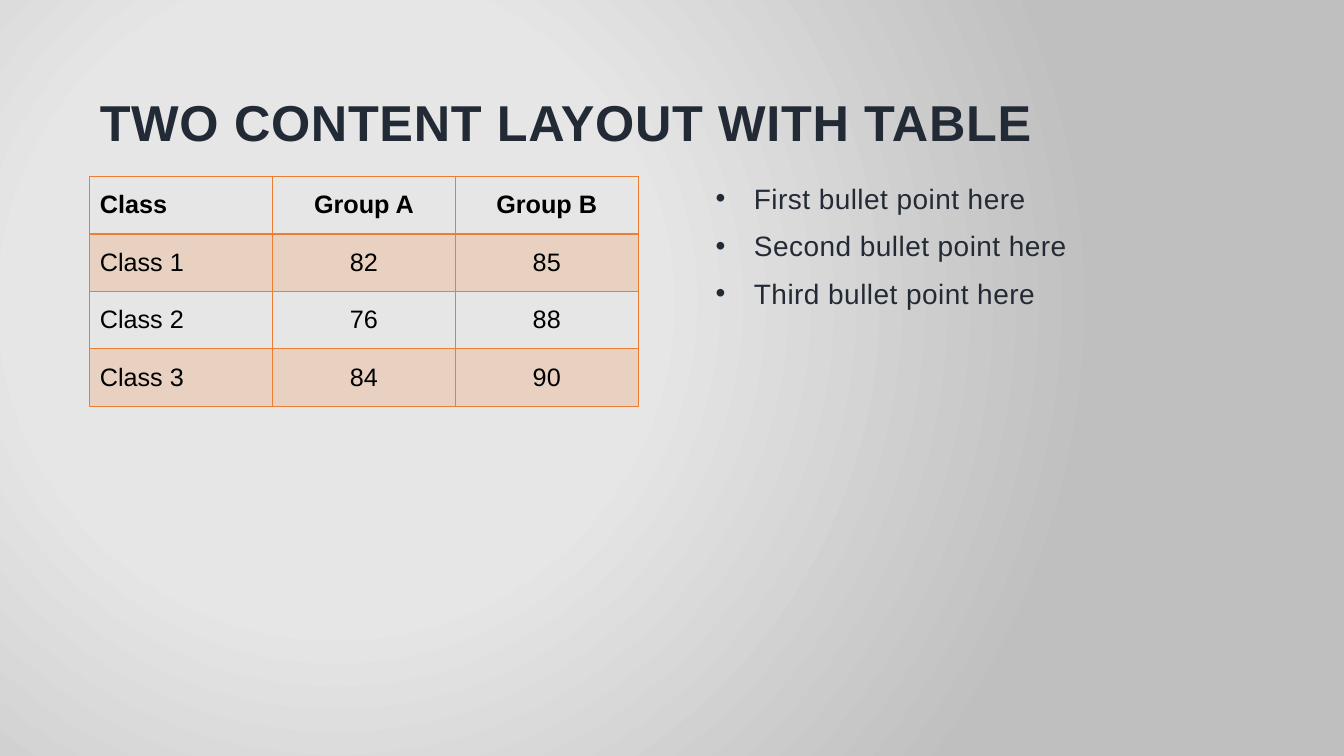
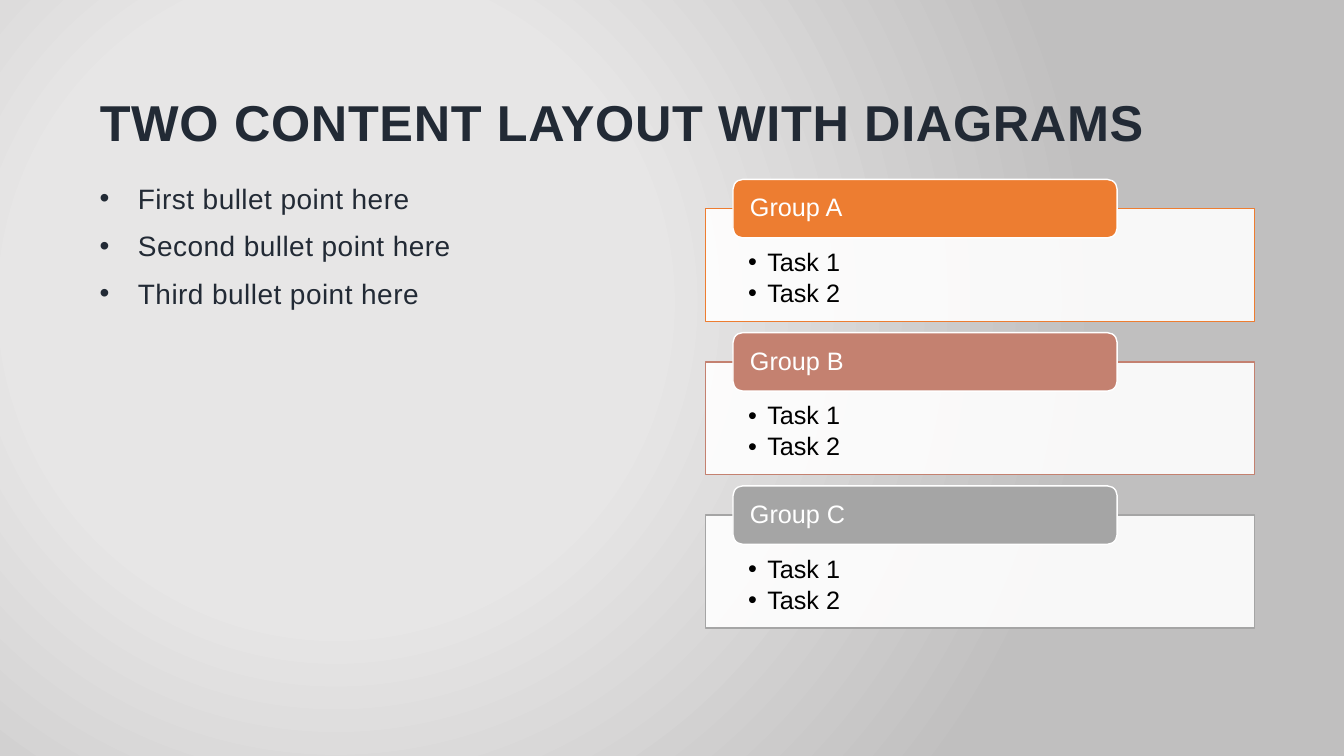
from lxml import etree
from pptx import Presentation
from pptx.dml.color import RGBColor
from pptx.enum.shapes import MSO_SHAPE as Shape
from pptx.enum.text import MSO_ANCHOR as Anchor, MSO_AUTO_SIZE as AutoSize, PP_ALIGN as Align
from pptx.oxml import parse_xml
from pptx.oxml.ns import nsdecls, qn
from pptx.util import Pt

SCALE = 9144
FONT = "Arial"
INK, BLACK, WHITE, ORANGE = "222A35", "000000", "FFFFFF", "ED7D31"
BACKDROP = [(0, "E8E7E7"), (41, "E7E6E6"), (100, "C0BFBF")]
BACKDROP_FOCUS = {"l": 50, "t": 80, "r": 100, "b": 100}

TABLE_TITLE = "TWO CONTENT LAYOUT WITH TABLE"
GROUPS_TITLE = "TWO CONTENT LAYOUT WITH DIAGRAMS"
POINTS = ["First bullet point here", "Second bullet point here", "Third bullet point here"]
SCORES = [
    ("Class", "Group A", "Group B"),
    ("Class 1", "82", "85"),
    ("Class 2", "76", "88"),
    ("Class 3", "84", "90"),
]
GROUPS = [("Group A", ORANGE), ("Group B", "C48170"), ("Group C", "A5A5A5")]
TASKS = ["Task 1", "Task 2"]

SLIDE_SIZE = (1333, 750)
TITLE_BOX = (89, 30, 1156, 125)
LEFT, RIGHT, TOP, COLUMN, BODY_HEIGHT = 89, 700, 175, 544, 450
ROW_HEIGHT = 57
PANEL_TOP, PANEL_HEIGHT, PANEL_PITCH = 207, 112, 152
LABEL_INDENT, LABEL_RISE, LABEL_WIDTH, LABEL_HEIGHT = 27, 29, 381, 58


def px(*lengths):
    return [round(length * SCALE) for length in lengths]


def rgb(value):
    return RGBColor.from_string(value)


def paint(fill, props, color, alpha=100):
    fill.solid()
    fill.fore_color.rgb = rgb(color)
    if alpha < 100:
        tone = props.find(qn("a:solidFill")).find(qn("a:srgbClr"))
        etree.SubElement(tone, qn("a:alpha")).set("val", str(alpha * 1000))


def write(frame, lines, size=18, color=BLACK, bold=False, align=Align.LEFT,
          anchor=Anchor.TOP, margins=(10, 5, 10, 5), tracking=0, indent=0,
          bullet_color=None, before=0, after=0, leading=1.0):
    frame.word_wrap = True
    frame.auto_size = AutoSize.NONE
    frame.vertical_anchor = anchor
    (frame.margin_left, frame.margin_top,
     frame.margin_right, frame.margin_bottom) = px(*margins)
    for i, line in enumerate(lines):
        paragraph = frame.add_paragraph() if i else frame.paragraphs[0]
        paragraph.alignment = align
        paragraph.space_before, paragraph.space_after = Pt(before), Pt(after)
        paragraph.line_spacing = leading
        if indent:
            add_bullet(paragraph, indent, bullet_color or color)
        run = paragraph.add_run()
        run.text = line
        run.font.name, run.font.size, run.font.bold = FONT, Pt(size), bold
        run.font.color.rgb = rgb(color)
        if tracking:
            run.font._element.set("spc", str(round(tracking * 100)))


def add_bullet(paragraph, indent, color):
    props = paragraph._p.get_or_add_pPr()
    hang = px(indent)[0]
    props.set("marL", str(hang))
    props.set("indent", str(-hang))
    tone = etree.SubElement(props, qn("a:buClr"))
    etree.SubElement(tone, qn("a:srgbClr")).set("val", color)
    etree.SubElement(props, qn("a:buFont")).set("typeface", FONT)
    etree.SubElement(props, qn("a:buChar")).set("char", "•")


def set_backdrop(master):
    master.background.fill.solid()
    flat = next(master.element.iter(qn("p:bgPr"))).find(qn("a:solidFill"))
    stops = "".join(f'<a:gs pos="{at * 1000}"><a:srgbClr val="{color}"/></a:gs>'
                    for at, color in BACKDROP)
    focus = " ".join(f'{side}="{share * 1000}"' for side, share in BACKDROP_FOCUS.items())
    gradient = parse_xml(
        f'<a:gradFill {nsdecls("a")} rotWithShape="1"><a:gsLst>{stops}</a:gsLst>'
        f'<a:path path="circle"><a:fillToRect {focus}/></a:path></a:gradFill>')
    flat.getparent().replace(flat, gradient)


def add_titled_slide(deck, text):
    slide = deck.slides.add_slide(deck.slide_layouts[5])
    title = slide.shapes.title
    title.left, title.top, title.width, title.height = px(*TITLE_BOX)
    write(title.text_frame, [text], size=36, color=INK, bold=True,
          anchor=Anchor.BOTTOM, tracking=0.5)
    return slide


def add_points(slide, left):
    box = slide.shapes.add_textbox(*px(left, TOP, COLUMN, BODY_HEIGHT))
    write(box.text_frame, POINTS, size=20, color=INK, tracking=0.3,
          indent=38, before=4, after=6)


def add_border(props, side, width):
    props.append(parse_xml(
        f'<a:ln{side} {nsdecls("a")} w="{Pt(width)}"><a:solidFill>'
        f'<a:srgbClr val="{ORANGE}"/></a:solidFill></a:ln{side}>'))


def add_scores(slide):
    table = slide.shapes.add_table(
        len(SCORES), len(SCORES[0]),
        *px(LEFT, TOP, COLUMN, ROW_HEIGHT * len(SCORES))).table
    table.horz_banding = False
    for r, record in enumerate(SCORES):
        for c, entry in enumerate(record):
            cell = table.cell(r, c)
            write(cell.text_frame, [entry], bold=r == 0,
                  align=Align.CENTER if c else Align.LEFT)
            cell.vertical_anchor = Anchor.MIDDLE
            cell.margin_left, cell.margin_top, cell.margin_right, cell.margin_bottom = px(10, 5, 10, 5)
            props = cell._tc.get_or_add_tcPr()
            for side in "LRTB":
                add_border(props, side, 2 if (r, side) in [(0, "B"), (1, "T")] else 1)
            if r % 2:
                paint(cell.fill, props, ORANGE, alpha=20)
            else:
                cell.fill.background()


def add_block(slide, kind, box, fill, line, lines, alpha=100, **text_format):
    block = slide.shapes.add_shape(kind, *px(*box))
    block.shadow.inherit = False
    paint(block.fill, block.element.spPr, fill, alpha)
    block.line.color.rgb = rgb(line)
    block.line.width = Pt(1)
    write(block.text_frame, lines, leading=0.9, **text_format)


def add_groups(slide):
    for i, (group, color) in enumerate(GROUPS):
        top = PANEL_TOP + i * PANEL_PITCH
        add_block(slide, Shape.RECTANGLE, (RIGHT, top, COLUMN, PANEL_HEIGHT),
                  WHITE, color, TASKS, alpha=90, margins=(42, 41, 42, 14),
                  indent=19, after=2.7)
        add_block(slide, Shape.ROUNDED_RECTANGLE,
                  (RIGHT + LABEL_INDENT, top - LABEL_RISE, LABEL_WIDTH, LABEL_HEIGHT),
                  color, WHITE, [group], color=WHITE, anchor=Anchor.MIDDLE,
                  margins=(14, 0, 14, 0))


def main():
    deck = Presentation()
    deck.slide_width, deck.slide_height = px(*SLIDE_SIZE)
    set_backdrop(deck.slide_master)

    table_slide = add_titled_slide(deck, TABLE_TITLE)
    add_scores(table_slide)
    add_points(table_slide, RIGHT)

    groups_slide = add_titled_slide(deck, GROUPS_TITLE)
    add_points(groups_slide, LEFT)
    add_groups(groups_slide)

    deck.save("out.pptx")


if __name__ == "__main__":
    main()
